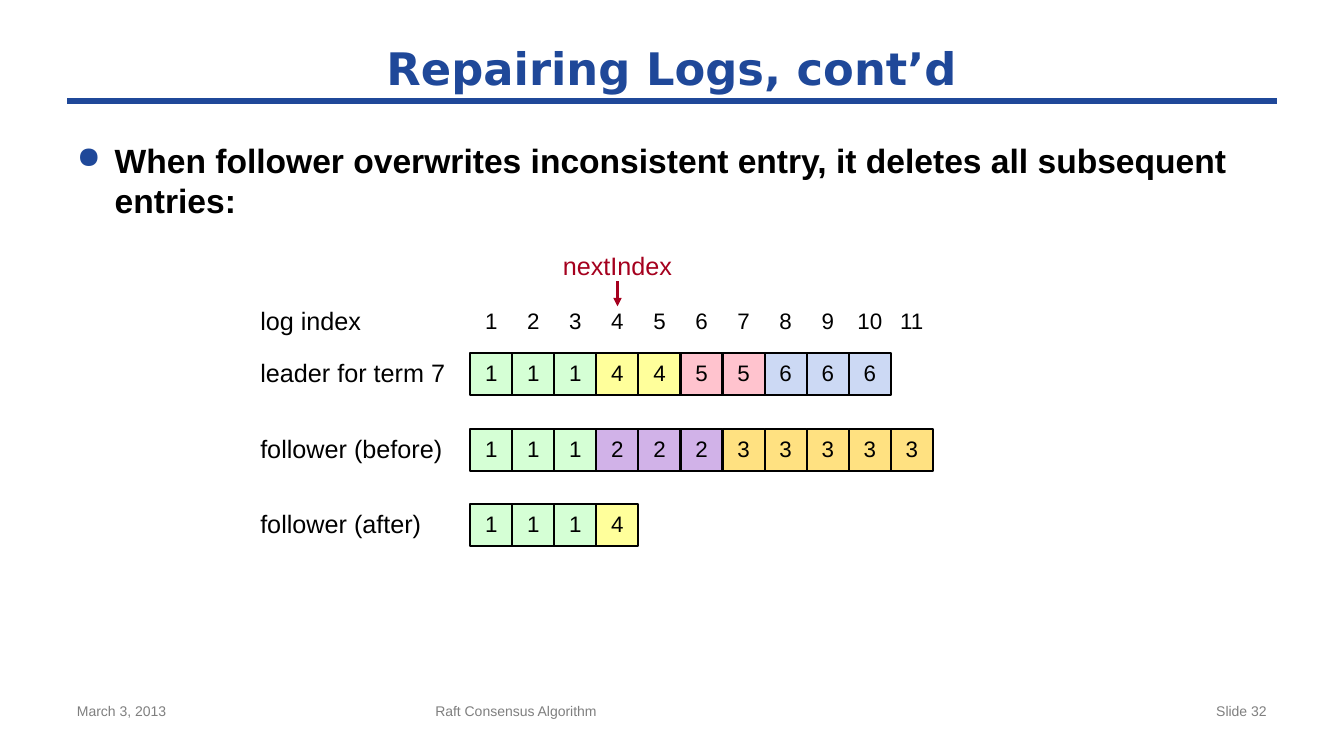
"""Build the slide on repairing follower logs in Raft."""
from lxml import etree
from pptx import Presentation
from pptx.dml.color import RGBColor
from pptx.enum.shapes import MSO_CONNECTOR as CONN, MSO_SHAPE as SHAPE
from pptx.enum.text import MSO_ANCHOR as ANCHOR, MSO_AUTO_SIZE as AUTO, PP_ALIGN as ALIGN
from pptx.oxml.ns import qn
from pptx.util import Cm, Pt

COLORS = {"blue": "1F4899", "black": "000000", "gray": "7F7F7F", "red": "A5001E"}
TERM_COLORS = {1: "D5FFD5", 2: "D1B2E8", 3: "FFE181", 4: "FFFF9B", 5: "FFC3CE", 6: "CCD9F4"}

TITLE = "Repairing Logs, cont’d"
BODY = "When follower overwrites inconsistent entry, it deletes all subsequent entries:"
LOGS = [
    ("leader for term 7", 5.08, 8.89, [1, 1, 1, 4, 4, 5, 5, 6, 6, 6]),
    ("follower (before)", 4.65, 10.8, [1, 1, 1, 2, 2, 2, 3, 3, 3, 3, 3]),
    ("follower (after)", 4.1, 12.7, [1, 1, 1, 4]),
]
FOOTERS = [
    ("March 3, 2013", 1.69, 7.9, ALIGN.LEFT),
    ("Raft Consensus Algorithm", 10.72, 12.7, ALIGN.LEFT),
    ("Slide 32", 24.27, 7.9, ALIGN.RIGHT),
]
NEXT_INDEX = 4
CELL, LOG_X, LABEL_X = 1.06, 11.85, 6.56
TITLE_FMT = {"size": Pt(32), "name": "DejaVu Sans", "bold": True}
BODY_FMT = {"size": Pt(24), "name": "Arial", "bold": True}
LABEL_FMT = {"size": Pt(18), "name": "Arial"}
ENTRY_FMT = {"size": Pt(16), "name": "Arial"}
FOOTER_FMT = {"size": Pt(10), "name": "Arial"}


def write(sp, text, fmt, color="black", align=ALIGN.LEFT, spacing=None, inset=True):
    tf = sp.text_frame
    tf.word_wrap = True
    if not inset:
        for side in ("left", "top", "right", "bottom"):
            setattr(tf, f"margin_{side}", 0)
    p = tf.paragraphs[0]
    p.alignment = align
    if spacing:
        p.line_spacing = Pt(spacing)
    r = p.add_run()
    r.text = text
    for key, value in fmt.items():
        setattr(r.font, key, value)
    r.font.color.rgb = RGBColor.from_string(COLORS[color])
    return p


def add_text(s, box, *args, **kwargs):
    return write(s.shapes.add_textbox(*map(Cm, box)), *args, **kwargs)


def add_line(s, ends, color, width):
    sp = s.shapes.add_connector(CONN.STRAIGHT, *map(Cm, ends))
    sp.line.color.rgb = RGBColor.from_string(COLORS[color])
    sp.line.width = Pt(width)
    etree.SubElement(sp._element.spPr, qn("a:effectLst"))
    return sp


def add_bullet(p):
    pPr = p._p.get_or_add_pPr()
    pPr.set("marL", str(Cm(0.95)))
    pPr.set("indent", str(-Cm(0.95)))
    color = etree.SubElement(pPr, qn("a:buClr"))
    etree.SubElement(color, qn("a:srgbClr"), val=COLORS["blue"])
    etree.SubElement(pPr, qn("a:buSzPct"), val="90000")
    etree.SubElement(pPr, qn("a:buChar"), char="●")


def add_entry(s, column, y, term):
    sp = s.shapes.add_shape(SHAPE.RECTANGLE, Cm(LOG_X + column * CELL), Cm(y), Cm(CELL), Cm(CELL))
    sp.shadow.inherit = False
    sp.fill.solid()
    sp.fill.fore_color.rgb = RGBColor.from_string(TERM_COLORS[term])
    sp.line.color.rgb = RGBColor.from_string(COLORS["black"])
    sp.line.width = Pt(1.5)
    sp.text_frame.vertical_anchor = ANCHOR.MIDDLE
    write(sp, str(term), ENTRY_FMT, align=ALIGN.CENTER, spacing=17, inset=False)


def main():
    prs = Presentation()
    prs.slide_width, prs.slide_height = Cm(33.87), Cm(19.05)
    s = prs.slides.add_slide(prs.slide_layouts[5])

    add_line(s, (1.69, 2.54, 32.17, 2.54), "blue", 4)
    title = s.shapes.title
    title.left, title.top, title.width, title.height = map(Cm, (1.69, 0.85, 30.48, 1.69))
    title.text_frame.auto_size = AUTO.NONE
    title.text_frame.vertical_anchor = ANCHOR.MIDDLE
    write(title, TITLE, TITLE_FMT, "blue", ALIGN.CENTER)
    add_bullet(add_text(s, (1.69, 3.39, 30.48, 13.63), BODY, BODY_FMT))

    for text, x, width, align in FOOTERS:
        add_text(s, (x, 17.57, width, 1.08), text, FOOTER_FMT, "gray", align)

    add_text(s, (LABEL_X, 7.7, 3.18, 0.77), "log index", LABEL_FMT, inset=False)
    for column in range(max(len(terms) for *_, terms in LOGS)):
        number = str(column + 1)
        width = CELL if len(number) == 1 else 1.48
        x = LOG_X + (column + 0.5) * CELL - width / 2
        add_text(s, (x, 7.62, width, 0.94), number, ENTRY_FMT, align=ALIGN.CENTER)

    for label, width, y, terms in LOGS:
        add_text(s, (LABEL_X, y + 0.21, width, 0.68), label, LABEL_FMT, spacing=19, inset=False)
        for column, term in enumerate(terms):
            add_entry(s, column, y, term)

    x = LOG_X + (NEXT_INDEX - 0.5) * CELL
    add_text(s, (x - 1.4, 6.4, 2.8, 0.68), "nextIndex", LABEL_FMT, "red", ALIGN.CENTER, 19, False)
    arrow = add_line(s, (x, 7.09, x, 7.72), "red", 2)
    etree.SubElement(arrow.line._get_or_add_ln(), qn("a:tailEnd"), type="triangle")

    prs.save("out.pptx")


if __name__ == "__main__":
    main()
